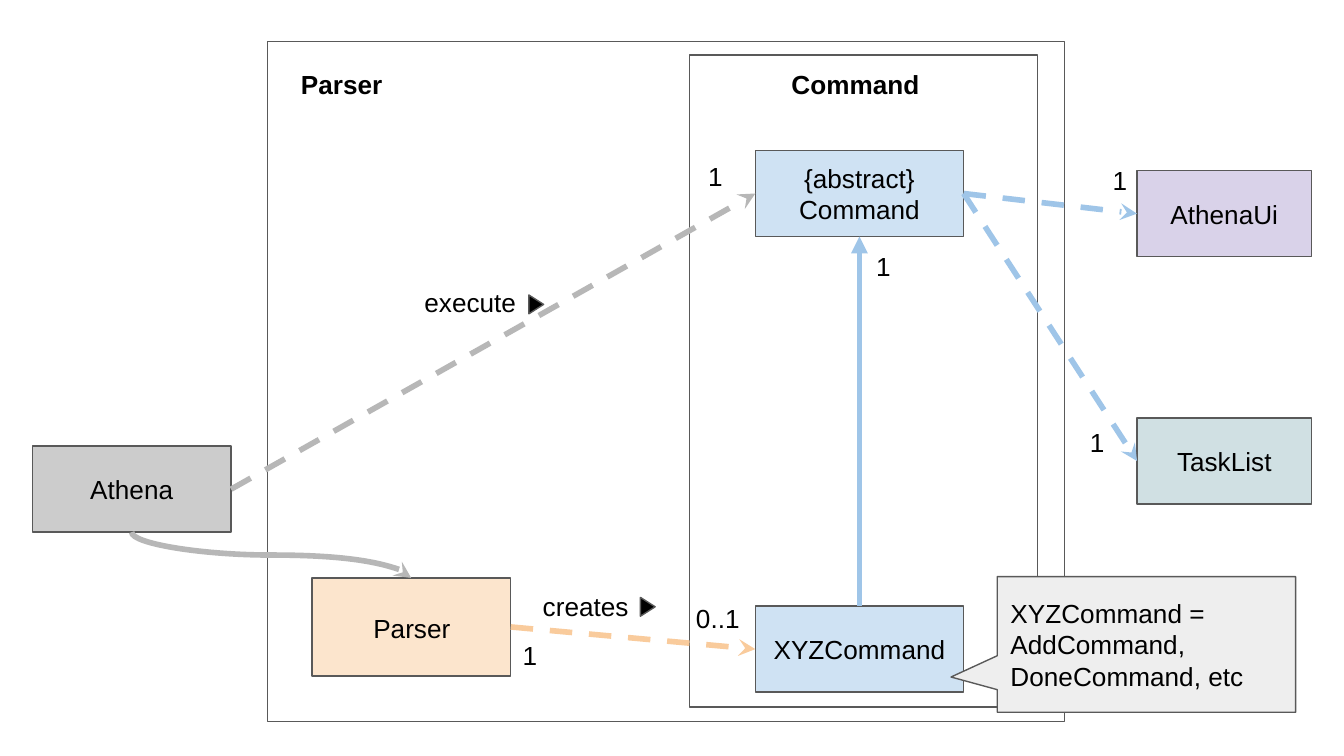
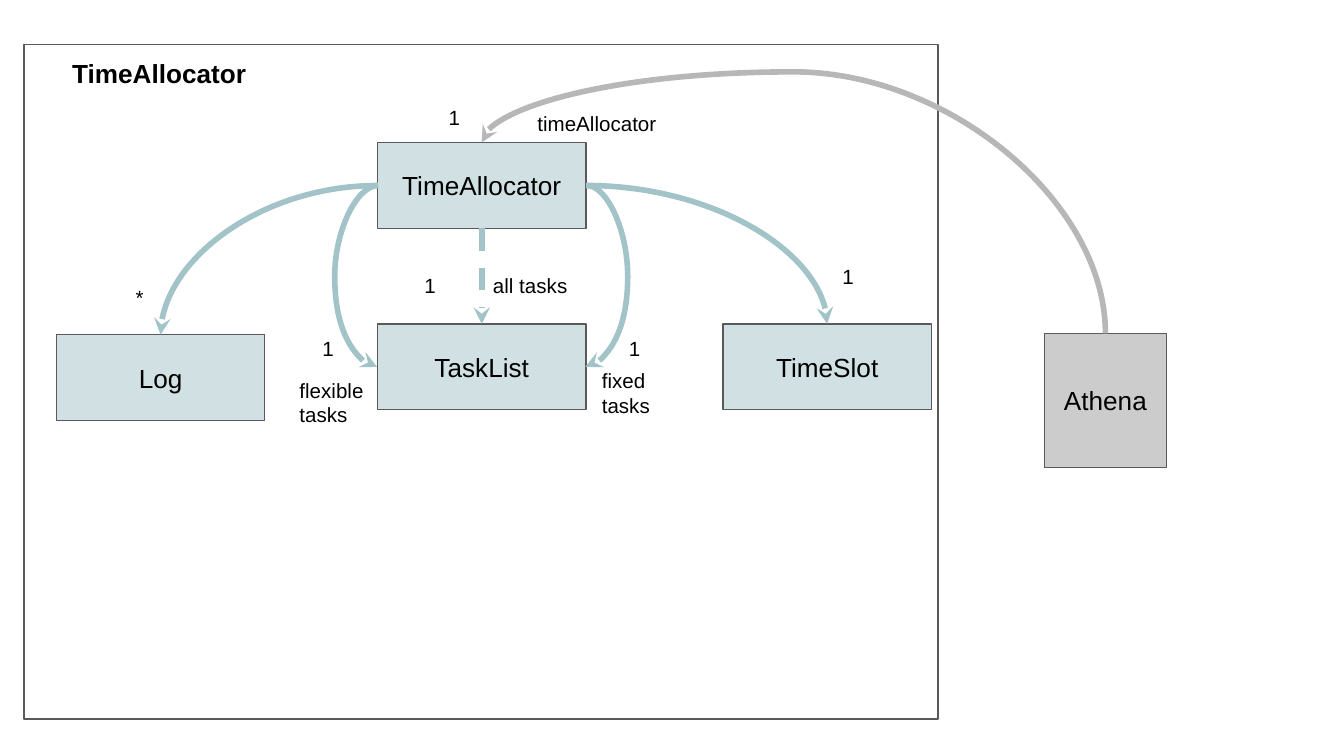
from lxml import etree
from pptx import Presentation
from pptx.dml.color import RGBColor
from pptx.enum.dml import MSO_LINE
from pptx.enum.shapes import MSO_CONNECTOR as CXN, MSO_SHAPE as SHP
from pptx.enum.text import MSO_ANCHOR as ANC, PP_ALIGN as AL
from pptx.oxml.ns import qn
from pptx.util import Inches, Pt

INK, EDGE = "000000", "595959"
BLUE, TEAL, GRAY = "CFE2F3", "D0E0E3", "CCCCCC"
BLUE_LINE, TEAL_LINE, GRAY_LINE, ORANGE_LINE = "9FC5E8", "A2C4C9", "B7B7B7", "F9CB9C"
TOP, LEFT, BOTTOM, RIGHT = range(4)
MARGINS = {f"margin_{side}": Inches(0.1) for side in ("left", "top", "right", "bottom")}
FRAME = {"word_wrap": True, **MARGINS}
FONT = {"name": "Arial"}


def rgb(value):
    return RGBColor.from_string(value)


def write(sp, text, size=14, bold=False, align=AL.LEFT, anchor=ANC.TOP):
    tf = sp.text_frame
    for key, value in {**FRAME, "vertical_anchor": anchor}.items():
        setattr(tf, key, value)
    for i, line in enumerate(text.split("\n")):
        p = tf.add_paragraph() if i else tf.paragraphs[0]
        p.alignment = align
        r = p.add_run()
        r.text = line
        for key, value in {**FONT, "size": Pt(size), "bold": bold}.items():
            setattr(r.font, key, value)
        r.font.color.rgb = rgb(INK)


command_slide = {
    "frames": [(1.99, 0.31, 5.93, 5.06), (5.13, 0.41, 2.59, 4.85)],
    "boxes": [
        ("xyz", "XYZCommand", (5.62, 4.51, 1.55, 0.64), BLUE),
        ("command", "{abstract}\nCommand", (5.62, 1.12, 1.55, 0.64), BLUE),
        ("parser", "", (2.32, 4.3, 1.48, 0.73), "FCE5CD"),
        ("athena", "Athena", (0.24, 3.32, 1.48, 0.64), GRAY),
        ("tasks", "TaskList", (8.46, 3.11, 1.3, 0.64), TEAL),
        ("ui", "AthenaUi", (8.46, 1.27, 1.3, 0.64), "D9D2E9"),
    ],
    "callouts": [("XYZCommand = AddCommand, DoneCommand, etc", (7.42, 4.29, 2.22, 1.01))],
    "markers": [(3.92, 2.21), (4.75, 4.46)],
    "arrows": [
        ("xyz", TOP, "command", BOTTOM, BLUE_LINE, False),
        ("athena", RIGHT, "command", LEFT, GRAY_LINE, True),
        ("parser", RIGHT, "xyz", LEFT, ORANGE_LINE, True),
        ("command", RIGHT, "tasks", LEFT, BLUE_LINE, True),
        ("command", RIGHT, "ui", LEFT, BLUE_LINE, True),
    ],
    "curves": [("parser", TOP, "athena", BOTTOM, GRAY_LINE, 90, True, 0.5)],
    "labels": [
        ("Parser", (2.14, 0.41, 0.85, 0.42), {"bold": True}),
        ("Command", (5.79, 0.41, 1.21, 0.42), {"bold": True}),
        ("Parser", (2.46, 4.46, 1.21, 0.42), {"align": AL.CENTER}),
        ("execute", (3.06, 2.03, 1.03, 0.42), {}),
        ("creates", (3.94, 4.29, 1.03, 0.42), {}),
        ("0..1", (5.08, 4.38, 0.59, 0.42), {}),
    ],
    "counts": [("1", x, y) for x, y in
               [(3.79, 4.66), (6.42, 1.76), (8.01, 3.07), (8.18, 1.12), (5.17, 1.09)]],
    "count_format": (0.28, 0.42, 14),
}

allocator_slide = {
    "frames": [(0.18, 0.33, 6.8, 5.02)],
    "boxes": [
        ("allocator", "TimeAllocator", (2.81, 1.06, 1.55, 0.64), TEAL),
        ("tasks", "TaskList", (2.81, 2.41, 1.55, 0.64), TEAL),
        ("athena", "Athena", (7.77, 2.48, 0.91, 1), GRAY),
        ("log", "Log", (0.42, 2.49, 1.55, 0.64), TEAL),
        ("slot", "TimeSlot", (5.38, 2.41, 1.55, 0.64), TEAL),
    ],
    "callouts": [],
    "markers": [],
    "arrows": [("allocator", BOTTOM, "tasks", TOP, TEAL_LINE, True)],
    "curves": [
        ("tasks", LEFT, "allocator", LEFT, TEAL_LINE, 180, True, -32),
        ("tasks", RIGHT, "allocator", RIGHT, TEAL_LINE, 180, True, 32),
        ("allocator", TOP, "athena", TOP, GRAY_LINE, 270, True, -0.37),
        ("log", TOP, "allocator", LEFT, TEAL_LINE, 270, False, None),
        ("slot", TOP, "allocator", RIGHT, TEAL_LINE, 90, True, None),
    ],
    "labels": [
        ("TimeAllocator", (0.41, 0.33, 1.55, 0.42), {"bold": True, "align": AL.CENTER}),
        ("all tasks", (3.57, 1.94, 0.97, 0.38), {"size": 11}),
        ("flexible\ntasks", (2.13, 2.71, 0.97, 0.38), {"size": 11}),
        ("fixed\ntasks", (4.38, 2.64, 0.97, 0.38), {"size": 11}),
        ("timeAllocator", (3.9, 0.73, 1.51, 0.42), {"size": 11}),
    ],
    "counts": [("1", 3.06, 1.94), ("1", 2.3, 2.41), ("1", 4.58, 2.41),
               ("1", 3.24, 0.69), ("1", 6.17, 1.87), ("*", 0.91, 2.03)],
    "count_format": (0.29, 0.38, 11),
}

prs = Presentation()
prs.slide_width = Inches(10)
prs.slide_height = prs.slide_width * 9 // 16

for d in (command_slide, allocator_slide):
    s = prs.slides.add_slide(prs.slide_layouts[6])
    s.background.fill.solid()
    s.background.fill.fore_color.rgb = rgb("FFFFFF")

    shapes = [("", "", at, None, SHP.RECTANGLE) for at in d["frames"]]
    shapes += [(*box, SHP.RECTANGLE) for box in d["boxes"]]
    shapes += [("", text, at, "EEEEEE", SHP.RECTANGULAR_CALLOUT) for text, at in d["callouts"]]
    shapes += [("", "", (x, y, 0.14, 0.11), INK, SHP.FLOWCHART_MERGE) for x, y in d["markers"]]
    boxes = {}
    for name, text, at, fill, kind in shapes:
        sp = s.shapes.add_shape(kind, *map(Inches, at))
        sp.shadow.inherit = False
        sp.line.color.rgb = rgb(EDGE)
        sp.line.width = Pt(0.75)
        if fill:
            sp.fill.solid()
            sp.fill.fore_color.rgb = rgb(fill)
        else:
            sp.fill.background()
        if kind == SHP.RECTANGULAR_CALLOUT:
            sp.adjustments[0], sp.adjustments[1] = -0.655, 0.24
        if kind == SHP.FLOWCHART_MERGE:
            sp.rotation = 270
        if text:
            align = AL.CENTER if kind == SHP.RECTANGLE else AL.LEFT
            write(sp, text, align=align, anchor=ANC.MIDDLE)
        boxes[name] = sp

    links = [(CXN.STRAIGHT, *arrow, None, None) for arrow in d["arrows"]]
    links += [(CXN.CURVE, *curve[:5], False, curve[5:7], curve[7]) for curve in d["curves"]]
    for kind, start, side, end, end_side, color, dashed, turn, adj in links:
        c = s.shapes.add_connector(kind, 0, 0, 0, 0)
        c.begin_connect(boxes[start], side)
        c.end_connect(boxes[end], end_side)
        c.line.color.rgb = rgb(color)
        c.line.width = Pt(3)
        if dashed:
            c.line.dash_style = MSO_LINE.DASH
        pr = c._element.spPr
        etree.SubElement(pr, qn("a:effectLst"))
        tip = etree.SubElement(pr.find(qn("a:ln")), qn("a:headEnd" if turn else "a:tailEnd"))
        tip.set("type", "stealth" if dashed or turn else "triangle")
        if not turn:
            continue

        rot, flip = turn
        x, y = (c.begin_x + c.end_x) // 2, (c.begin_y + c.end_y) // 2
        w, h = abs(c.end_x - c.begin_x), abs(c.end_y - c.begin_y)
        if rot != 180:
            w, h = h, w
        w = max(w, Inches(0.01))
        for key, value in {"left": x - w // 2, "top": y - h // 2, "width": w, "height": h}.items():
            setattr(c, key, value)
        xfrm = pr.find(qn("a:xfrm"))
        for key, value in {"rot": rot * 60000, "flipH": int(flip), "flipV": 0}.items():
            xfrm.set(key, str(value))
        geom = pr.find(qn("a:prstGeom"))
        geom.set("prst", "curvedConnector2" if adj is None else "curvedConnector3")
        if adj is not None:
            gd = etree.SubElement(geom.find(qn("a:avLst")), qn("a:gd"))
            gd.set("name", "adj1")
            gd.set("fmla", f"val {round(adj * 100000)}")

    w, h, size = d["count_format"]
    counts = [(text, (x, y, w, h), {"size": size}) for text, x, y in d["counts"]]
    for text, at, style in d["labels"] + counts:
        write(s.shapes.add_textbox(*map(Inches, at)), text, **style)

prs.save("out.pptx")
